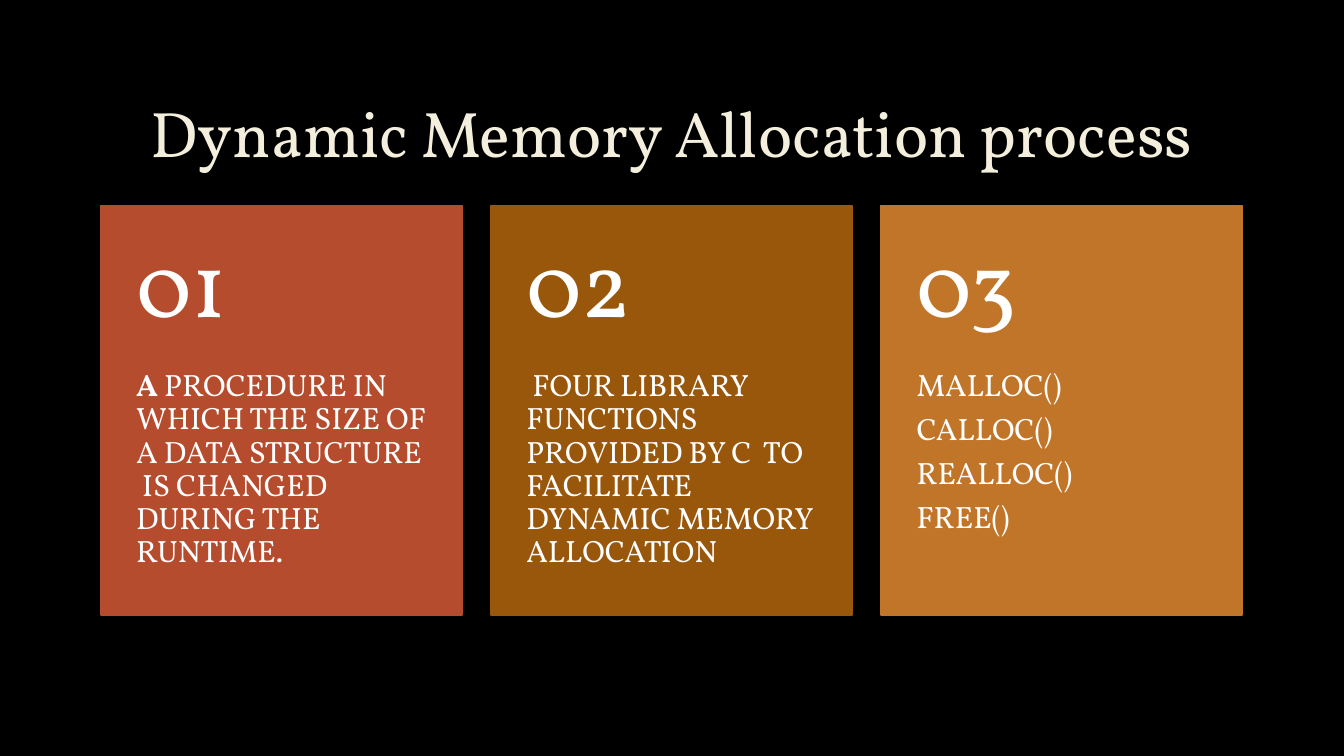
from lxml import etree
from pptx import Presentation
from pptx.dml.color import RGBColor
from pptx.enum.shapes import MSO_SHAPE
from pptx.enum.text import MSO_ANCHOR, MSO_AUTO_SIZE, PP_ALIGN
from pptx.oxml import parse_xml
from pptx.util import Inches, Pt

RECTANGLE = MSO_SHAPE.RECTANGLE
TOP, MIDDLE = MSO_ANCHOR.TOP, MSO_ANCHOR.MIDDLE
LEFT, CENTER = PP_ALIGN.LEFT, PP_ALIGN.CENTER
NO_AUTOFIT = MSO_AUTO_SIZE.NONE

BLACK = RGBColor(0x00, 0x00, 0x00)
CREAM = RGBColor(0xF4, 0xEE, 0xDC)
WHITE = RGBColor(0xFF, 0xFF, 0xFF)
RUST = RGBColor(0xB5, 0x4C, 0x2D)
BROWN = RGBColor(0x99, 0x57, 0x0C)
OCHRE = RGBColor(0xC1, 0x75, 0x29)

FONT = "Vollkorn"
MARGIN, CARD_TOP, CARD_PITCH = 1, 2.04, 3.87
CARD_WIDTH, CARD_HEIGHT, NUMBER_HEIGHT = 3.58, 4.06, 1.62
BODY_TOP, BODY_HEIGHT = 3.67, 2.44
TITLE_OUTLINE = (
    '<a:ln xmlns:a="http://schemas.openxmlformats.org/drawingml/2006/main" w="9525">'
    '<a:solidFill><a:srgbClr val="404040"><a:alpha val="10000"/></a:srgbClr>'
    "</a:solidFill></a:ln>"
)

CARDS = [
    (RUST, [["A ", "procedure in which the size of a data structure  is changed during the runtime."]]),
    (BROWN, [[" Four library functions provided by C  to facilitate dynamic memory allocation"]]),
    (OCHRE, [["Malloc()"], ["Calloc()"], ["Realloc()"], ["Free()"]]),
]


def style_run(run, size, color):
    """Give a run the deck font, a size and a colour."""
    run.font.name = FONT
    run.font.size = Pt(size)
    run.font.color.rgb = color


def set_frame(frame, anchor, insets):
    """Set wrapping, anchor and left, top, right, bottom insets."""
    frame.word_wrap = True
    frame.auto_size = NO_AUTOFIT
    frame.vertical_anchor = anchor
    frame.margin_left, frame.margin_top, frame.margin_right, frame.margin_bottom = map(Inches, insets)


def add_title(slide, wording):
    """Place and format the slide title."""
    title = slide.shapes.title
    title.left, title.top = Inches(MARGIN), Inches(0.67)
    title.width, title.height = Inches(11.32), Inches(1.38)
    set_frame(title.text_frame, MIDDLE, (0.1, 0.05, 0.1, 0.05))
    title.text_frame.text = wording
    paragraph = title.text_frame.paragraphs[0]
    paragraph.alignment = CENTER
    paragraph.line_spacing = 0.9
    run = paragraph.runs[0]
    style_run(run, 46, CREAM)
    run.font._element.insert(0, parse_xml(TITLE_OUTLINE))


def add_panel(slide, left, color):
    """Draw the coloured panel of a card."""
    panel = slide.shapes.add_shape(
        RECTANGLE, Inches(left), Inches(CARD_TOP), Inches(CARD_WIDTH), Inches(CARD_HEIGHT))
    panel.shadow.inherit = False
    panel.fill.solid()
    panel.fill.fore_color.rgb = color
    panel.line.color.rgb = color
    panel.line.width = Pt(1.25)


def add_card_text(slide, left, top, height, paragraphs, size, anchor, insets):
    """Write paragraphs, each a list of run texts, on a card."""
    box = slide.shapes.add_textbox(Inches(left), Inches(top), Inches(CARD_WIDTH), Inches(height))
    frame = box.text_frame
    set_frame(frame, anchor, insets)
    for index, pieces in enumerate(paragraphs):
        paragraph = frame.add_paragraph() if index else frame.paragraphs[0]
        paragraph.alignment = LEFT
        paragraph.line_spacing = 0.9
        paragraph.space_after = Pt(0.35 * size)
        for piece in pieces:
            run = paragraph.add_run()
            run.text = piece
            style_run(run, size, WHITE)
            run.font._element.set("cap", "all")
            run.font.bold = len(pieces) > 1 and piece == pieces[0]


def add_card(slide, index, color, paragraphs):
    """Build one numbered card of the row."""
    left = MARGIN + index * CARD_PITCH
    add_panel(slide, left, color)
    add_card_text(slide, left, BODY_TOP, BODY_HEIGHT, paragraphs, 22, TOP, (0.35, 0, 0.35, 0.36))
    add_card_text(slide, left, CARD_TOP, NUMBER_HEIGHT, [[f"{index + 1:02}"]], 66, MIDDLE,
                  (0.35, 0.18, 0.35, 0.18))


def main():
    """Build and save the slide."""
    deck = Presentation()
    deck.slide_width, deck.slide_height = Inches(13.33), Inches(7.5)
    slide = deck.slides.add_slide(deck.slide_layouts[5])
    slide.background.fill.solid()
    slide.background.fill.fore_color.rgb = BLACK
    add_title(slide, "Dynamic Memory Allocation process")
    for index, (color, paragraphs) in enumerate(CARDS):
        add_card(slide, index, color, paragraphs)
    deck.save("out.pptx")


if __name__ == "__main__":
    main()
